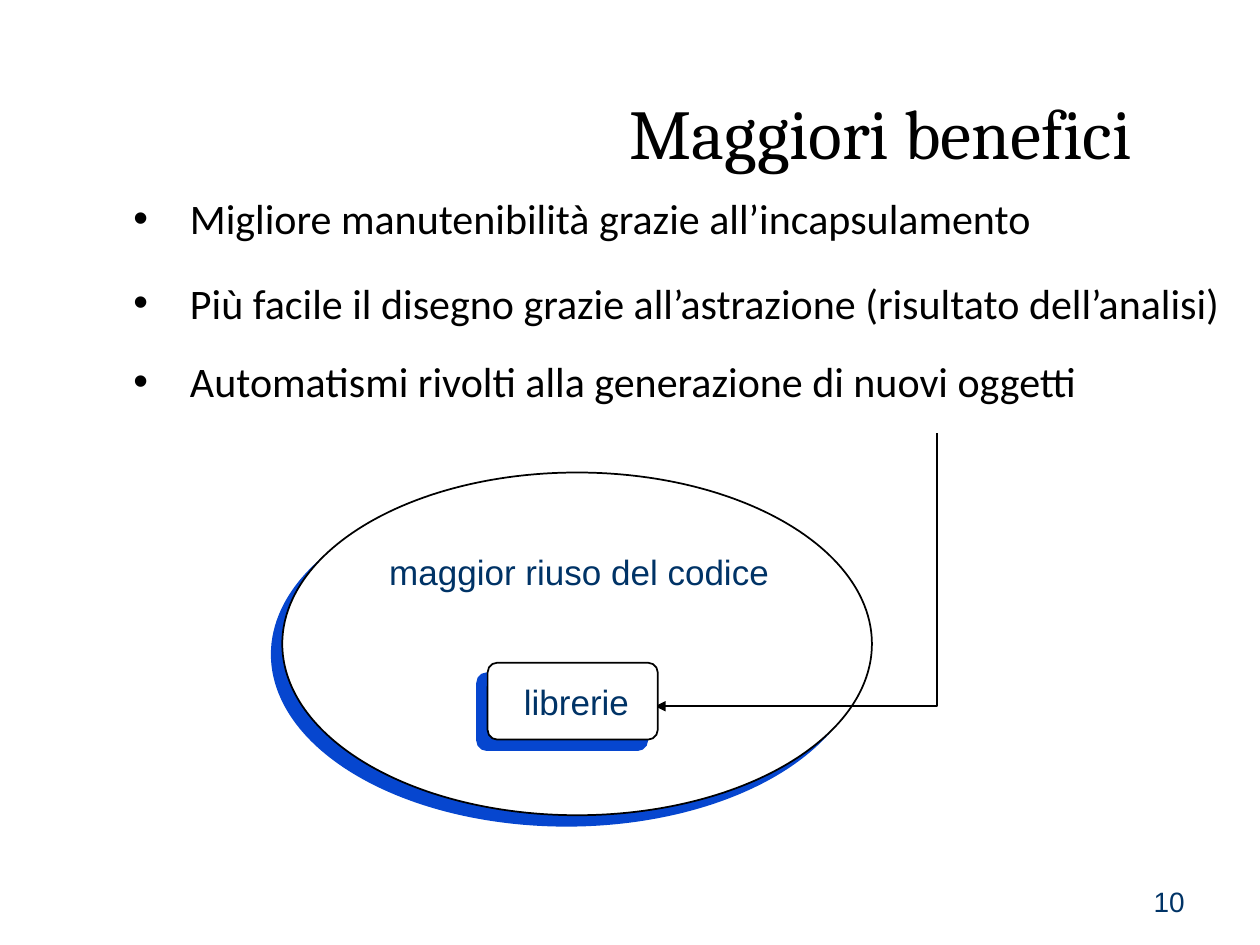
from dataclasses import dataclass

from lxml.etree import SubElement
from pptx import Presentation
from pptx.dml.color import RGBColor
from pptx.enum.shapes import MSO_SHAPE as Shape
from pptx.enum.text import MSO_ANCHOR as Anchor, MSO_AUTO_SIZE as AutoSize, PP_ALIGN as Align
from pptx.oxml.ns import qn
from pptx.util import Emu, Inches, Pt

COLORS = {"paper": "FFFFFF", "ink": "000000", "navy": "003366", "shade": "0646CF"}
CELL = 0.1  # the page is a grid of 100 columns by 75 rows
BULLET_INDENT = 4.5  # columns


@dataclass(frozen=True)
class Area:
    col: float
    row: float
    cols: float
    rows: float

    def box(self) -> tuple[Emu, ...]:
        return tuple(grid(n) for n in (self.col, self.row, self.cols, self.rows))


@dataclass(frozen=True)
class Line:
    text: str
    space_before: float = 0


@dataclass(frozen=True)
class TextBlock:
    area: Area
    lines: tuple[Line, ...]
    size: float
    font: str = "Arial"
    color: str = "navy"
    align: Align = Align.LEFT
    anchor: Anchor = Anchor.TOP
    wrap: bool = True
    bullets: bool = False


@dataclass(frozen=True)
class Panel:
    kind: Shape
    area: Area
    rounding: float | None = None


def grid(cells: float) -> Emu:
    return Inches(cells * CELL)


def rgb(name: str) -> RGBColor:
    return RGBColor.from_string(COLORS[name])


def add_bullet(para) -> None:
    props = para._p.get_or_add_pPr()
    props.set("marL", str(grid(BULLET_INDENT)))
    props.set("indent", str(-grid(BULLET_INDENT)))
    SubElement(props, qn("a:buFont"), typeface="Arial")
    SubElement(props, qn("a:buChar"), char="•")


def draw_text(page, block: TextBlock) -> None:
    frame = page.shapes.add_textbox(*block.area.box()).text_frame
    frame.word_wrap = block.wrap
    if not block.wrap:
        frame.auto_size = AutoSize.SHAPE_TO_FIT_TEXT
    frame.vertical_anchor = block.anchor
    for index, line in enumerate(block.lines):
        para = frame.paragraphs[0] if index == 0 else frame.add_paragraph()
        para.text = line.text
        para.alignment = block.align
        if line.space_before:
            para.space_before = Pt(line.space_before)
        if block.bullets:
            add_bullet(para)
        para.font.name = block.font
        para.font.size = Pt(block.size)
        para.font.color.rgb = rgb(block.color)


def set_outline(shape) -> None:
    shape.shadow.inherit = False
    shape.line.color.rgb = rgb("ink")
    shape.line.width = Pt(1)


def draw_panel(page, panel: Panel) -> None:
    shape = page.shapes.add_shape(panel.kind, *panel.area.box())
    if panel.rounding is not None:
        shape.adjustments[0] = panel.rounding
    shape.fill.solid()
    shape.fill.fore_color.rgb = rgb("paper")
    set_outline(shape)
    # Hard shadow towards the lower left
    effects = shape._element.spPr.find(qn("a:effectLst"))
    shadow = SubElement(effects, qn("a:outerShdw"), dist=str(Pt(8.5)),
                        dir=str(135 * 60000), algn="ctr", rotWithShape="0")
    SubElement(shadow, qn("a:srgbClr"), val=COLORS["shade"])


def draw_arrow(page, points: tuple[tuple[float, float], ...]) -> None:
    start, *rest = [(grid(col), grid(row)) for col, row in points]
    builder = page.shapes.build_freeform(*start)
    builder.add_line_segments(rest, close=False)
    arrow = builder.convert_to_shape()
    arrow.fill.background()
    set_outline(arrow)
    SubElement(arrow.line._get_or_add_ln(), qn("a:tailEnd"), type="triangle")


TEXTS = (
    TextBlock(Area(39.8, 6.8, 60.2, 7.2), (Line("Maggiori benefici"),), 40,
              "Cambria", "ink", Align.CENTER, Anchor.MIDDLE),
    TextBlock(
        Area(9.6, 14.8, 90.4, 48.5),
        (
            Line("Migliore manutenibilità grazie all’incapsulamento"),
            Line("Più facile il disegno grazie all’astrazione (risultato dell’analisi)", 19.5),
            Line("Automatismi rivolti alla generazione di nuovi oggetti", 16.2),
        ),
        24, "Calibri", "ink", bullets=True,
    ),
    TextBlock(Area(29.9, 43.2, 32.2, 4.3), (Line("maggior riuso del codice"),), 20, wrap=False),
    TextBlock(Area(40.6, 53.5, 10.6, 4.3), (Line("librerie"),), 20, wrap=False),
    TextBlock(Area(71.7, 69.5, 23.3, 4), (Line("10"),), 16,
              align=Align.RIGHT, anchor=Anchor.MIDDLE),
)
REUSE = Panel(Shape.OVAL, Area(22.4, 37.5, 46.8, 27.2))
LIBRARIES = Panel(Shape.ROUNDED_RECTANGLE, Area(38.7, 52.6, 13.5, 6.1), 0.125)
ARROW_PATH = ((74.35, 34.4), (74.35, 56.05), (52, 56.05))


def main() -> None:
    deck = Presentation()
    deck.slide_width, deck.slide_height = grid(100), grid(75)
    page = deck.slides.add_slide(deck.slide_layouts[6])

    # Diagram, from back to front
    draw_panel(page, REUSE)
    draw_arrow(page, ARROW_PATH)
    draw_panel(page, LIBRARIES)

    # Title, bullets, labels and page number
    for block in TEXTS:
        draw_text(page, block)

    deck.save("out.pptx")


if __name__ == "__main__":
    main()
